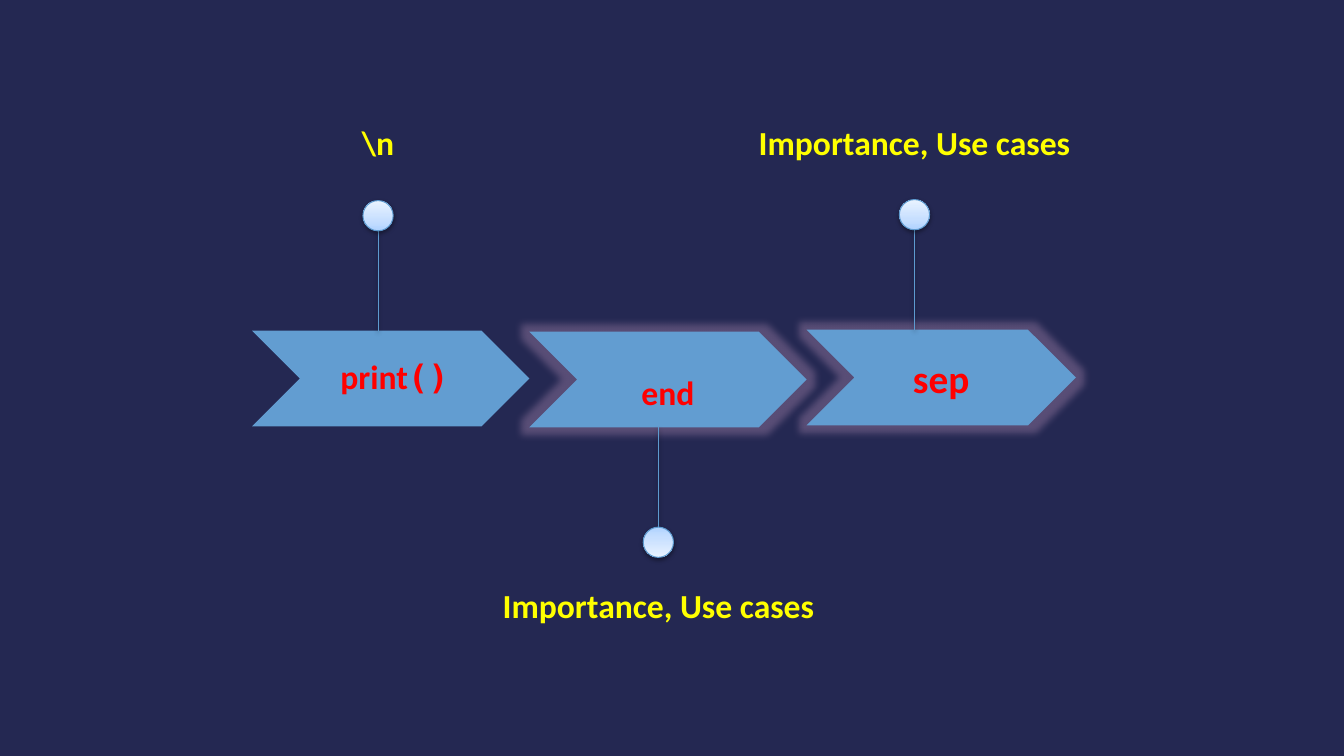
"""Build a slide of three chevron steps with pinned labels."""
from dataclasses import dataclass

from lxml.etree import SubElement
from pptx import Presentation
from pptx.dml.color import RGBColor
from pptx.enum.shapes import MSO_CONNECTOR as Connector, MSO_SHAPE as Preset
from pptx.enum.text import MSO_ANCHOR as Anchor, PP_ALIGN as Align
from pptx.oxml.ns import qn
from pptx.util import Inches, Pt

NAVY = RGBColor(0x24, 0x28, 0x52)
BLUE = RGBColor(0x62, 0x9D, 0xD1)
LINE_BLUE = RGBColor(0x5D, 0x9A, 0xCF)
RED = RGBColor(0xFF, 0x00, 0x00)
YELLOW = RGBColor(0xFF, 0xFF, 0x00)
BLACK = RGBColor(0x00, 0x00, 0x00)
MAUVE = RGBColor(0xA9, 0x87, 0xAE)
KNOB_STOPS = (
    (0, RGBColor(0xB0, 0xD3, 0xFF)),
    (35, RGBColor(0xC7, 0xDF, 0xFF)),
    (100, RGBColor(0xE9, 0xF3, 0xFF)),
)
TEXT_FONT, CODE_FONT = "Calibri", "DejaVu Sans Mono"
FIRST_COLUMN, COLUMN_PITCH, CHEVRON_HEIGHT = 5, 5.5, 1.9
STEM_LENGTH, KNOB_SIZE, KNOB_OFFSET, LABEL_HEIGHT = 2, 0.6, 0.28, 1


@dataclass(frozen=True)
class Step:
    """One chevron with its pin and label, measured in grid cells."""
    runs: tuple[tuple[str, str], ...]
    label: str
    top: float
    pin_column: float
    label_row: float
    label_width: float
    width: float = COLUMN_PITCH
    size: int = 24
    anchor: Anchor = Anchor.MIDDLE
    inset_top: float = 0.1
    upward: bool = True
    glowing: bool = True


STEPS = (
    Step(((" print", TEXT_FONT), ("()", CODE_FONT)), "\\n", 6.56, 7.5, 2.32, 1.06,
         inset_top=0, glowing=False),
    Step((("end", TEXT_FONT),), "Importance, Use cases", 6.58, 13.06, 11.5, 6.64,
         anchor=Anchor.TOP, inset_top=0.8, upward=False),
    Step((("sep", TEXT_FONT),), "Importance, Use cases", 6.54, 18.14, 2.32, 6.64,
         width=5.34, size=28),
)


def grid(cells: float) -> int:
    """Turn half-inch grid cells into a length."""
    return Inches(cells / 2)


def add_color(parent, color: RGBColor, alpha: int = 100) -> None:
    """Append a colour with its opacity in percent."""
    element = SubElement(parent, qn("a:srgbClr"), val=str(color))
    SubElement(element, qn("a:alpha"), val=str(alpha * 1000))


def add_effect(shape, name: str, color: RGBColor, alpha: int, **values: str) -> None:
    """Append a single effect to the shape properties."""
    effects = SubElement(shape._element.spPr, qn("a:effectLst"))
    add_color(SubElement(effects, qn(name), **values), color, alpha)


def add_pin_shadow(shape) -> None:
    """Give a pin part its soft downward shadow."""
    add_effect(shape, "a:outerShdw", BLACK, 38, blurRad=str(Pt(3.1)),
               dist=str(Pt(1.6)), dir="5400000", rotWithShape="0")


def style_run(run, font: str, size: int, color: RGBColor) -> None:
    """Format a run in bold."""
    run.font.name, run.font.size, run.font.bold = font, Pt(size), True
    run.font.color.rgb = color


def draw_chevron(slide, index: int, step: Step) -> None:
    """Draw the chevron of a step."""
    left = FIRST_COLUMN + index * COLUMN_PITCH
    shape = slide.shapes.add_shape(Preset.CHEVRON, grid(left), grid(step.top),
                                   grid(step.width), grid(CHEVRON_HEIGHT))
    shape.fill.solid()
    shape.fill.fore_color.rgb = BLUE
    shape.line.fill.background()
    if step.glowing:
        add_effect(shape, "a:glow", MAUVE, 40, rad=str(Pt(11)))
    else:
        shape.shadow.inherit = False
    frame = shape.text_frame
    frame.vertical_anchor = step.anchor
    frame.margin_top = grid(step.inset_top)
    paragraph = frame.paragraphs[0]
    paragraph.alignment = Align.CENTER
    for text, font in step.runs:
        run = paragraph.add_run()
        run.text = text
        style_run(run, font, step.size, RED)


def draw_label(slide, step: Step) -> None:
    """Draw the label centred on the pin of a step."""
    box = slide.shapes.add_textbox(grid(step.pin_column - step.label_width / 2),
                                   grid(step.label_row), grid(step.label_width),
                                   grid(LABEL_HEIGHT))
    frame = box.text_frame
    frame.word_wrap = False
    frame.text = step.label
    paragraph = frame.paragraphs[0]
    paragraph.alignment = Align.CENTER
    style_run(paragraph.runs[0], TEXT_FONT, 24, YELLOW)


def fill_knob(knob, upward: bool) -> None:
    """Fill a knob with a gradient that lightens away from its stem."""
    gradient = SubElement(knob._element.spPr, qn("a:gradFill"), rotWithShape="1")
    stops = SubElement(gradient, qn("a:gsLst"))
    for position, color in KNOB_STOPS:
        add_color(SubElement(stops, qn("a:gs"), pos=str(position * 1000)), color)
    SubElement(gradient, qn("a:lin"), ang=str((270 if upward else 90) * 60000), scaled="0")


def draw_pin(slide, step: Step) -> None:
    """Draw the stem and knob of a step."""
    direction = -1 if step.upward else 1
    start = step.top if step.upward else step.top + CHEVRON_HEIGHT
    end = start + direction * STEM_LENGTH
    stem = slide.shapes.add_connector(Connector.STRAIGHT, grid(step.pin_column), grid(start),
                                      grid(step.pin_column), grid(end))
    center = end + direction * KNOB_OFFSET
    knob = slide.shapes.add_shape(Preset.FLOWCHART_CONNECTOR,
                                  grid(step.pin_column - KNOB_SIZE / 2),
                                  grid(center - KNOB_SIZE / 2),
                                  grid(KNOB_SIZE), grid(KNOB_SIZE))
    fill_knob(knob, step.upward)
    for shape in (stem, knob):
        shape.line.color.rgb = LINE_BLUE
        shape.line.width = Pt(0.75)
        add_pin_shadow(shape)


def main() -> None:
    """Build and save the presentation."""
    presentation = Presentation()
    presentation.slide_width, presentation.slide_height = Inches(13.33), Inches(7.5)
    slide = presentation.slides.add_slide(presentation.slide_layouts[6])
    slide.background.fill.solid()
    slide.background.fill.fore_color.rgb = NAVY
    for index, step in enumerate(STEPS):
        draw_chevron(slide, index, step)
    for step in STEPS:
        draw_label(slide, step)
        draw_pin(slide, step)
    presentation.save("out.pptx")


main()
